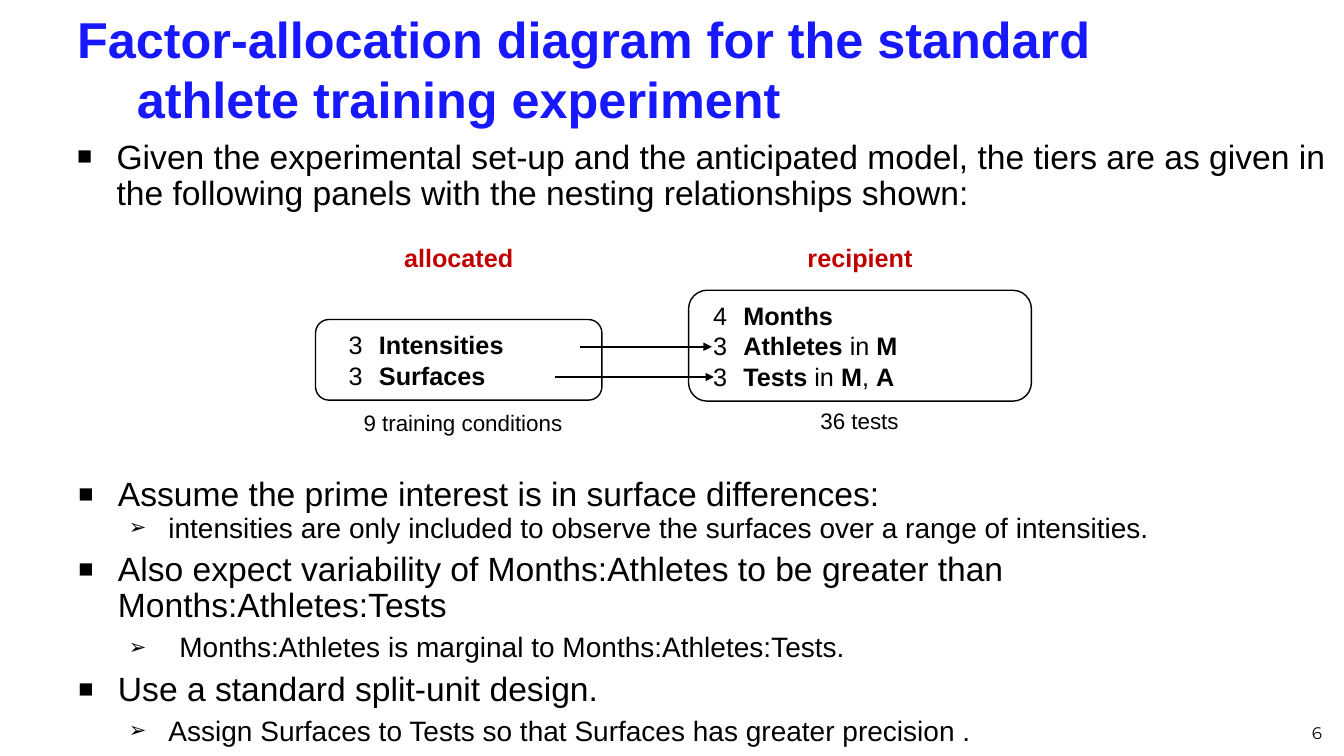
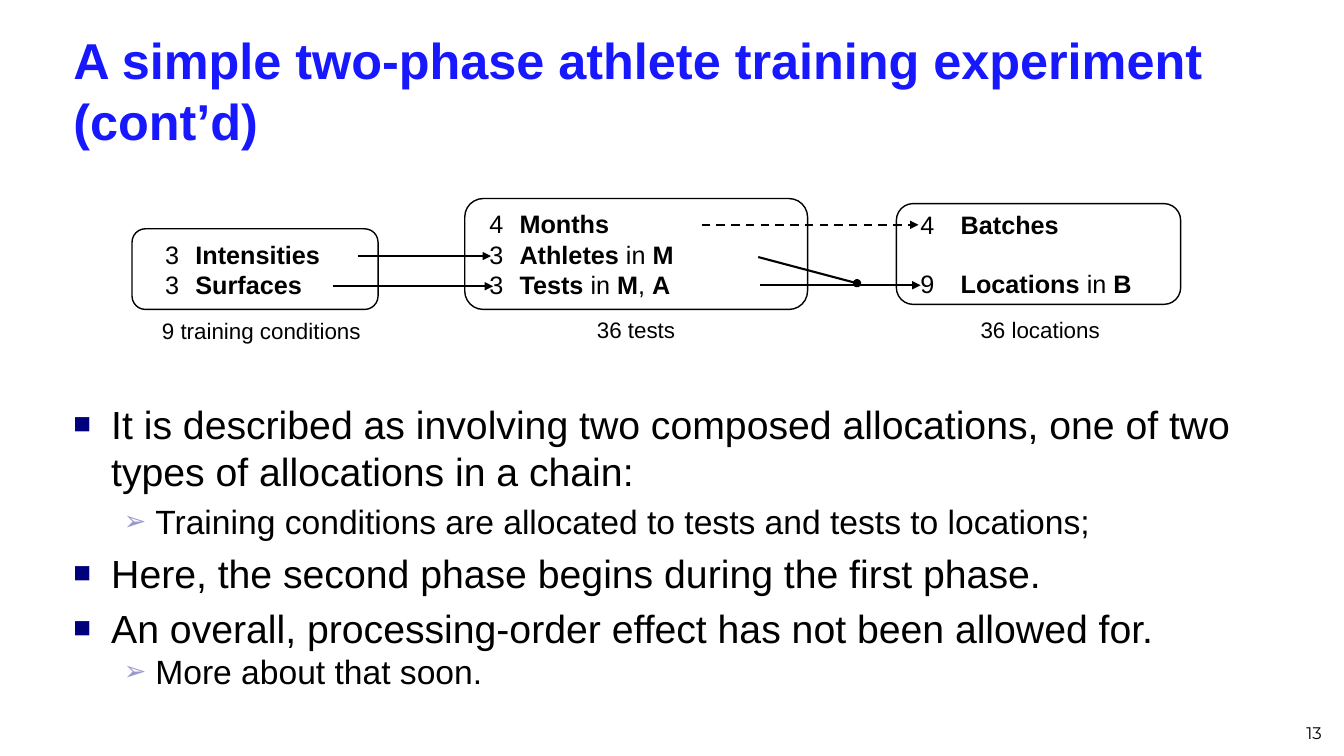
from lxml import etree
from pptx import Presentation
from pptx import util as u
from pptx.dml.color import RGBColor
from pptx.enum import dml, shapes, text
from pptx.oxml import ns

BLACK, TITLE_BLUE, HEADING_RED = "000000", "1818FF", "C00000"
NAVY, LAVENDER = "00007D", "9999CC"
LEFT, CENTER, RIGHT = text.PP_ALIGN.LEFT, text.PP_ALIGN.CENTER, text.PP_ALIGN.RIGHT
TOP, MIDDLE, BOTTOM = text.MSO_ANCHOR.TOP, text.MSO_ANCHOR.MIDDLE, text.MSO_ANCHOR.BOTTOM

presentation = Presentation()
presentation.slide_width = u.Inches(13.33)
presentation.slide_height = u.Inches(7.5)
CELL = presentation.slide_height / 90


def add_text(slide, box, lines, size, color=BLACK, bold=False, align=LEFT,
             anchor=TOP, font="Arial", panel=False):
    place = [round(value * CELL) for value in box]
    if panel:
        shape = slide.shapes.add_shape(shapes.MSO_SHAPE.ROUNDED_RECTANGLE, *place)
        shape.shadow.inherit = False
        shape.fill.background()
        shape.line.color.rgb = RGBColor.from_string(BLACK)
        shape.line.width = u.Pt(1)
    else:
        shape = slide.shapes.add_textbox(*place)
    frame = shape.text_frame
    frame.word_wrap = True
    frame.vertical_anchor = anchor
    for index, line in enumerate(lines):
        paragraph = frame.add_paragraph() if index else frame.paragraphs[0]
        paragraph.alignment = align
        for part, words in enumerate(line.split("*")):
            if words:
                run = paragraph.add_run()
                run.text = words
                run.font.name = font
                run.font.size = u.Pt(size)
                run.font.bold = bold or part % 2 == 1
                run.font.color.rgb = RGBColor.from_string(color)
    return frame.paragraphs


def indent(paragraph, left, hanging, bullet=None, color=BLACK, percent=75):
    properties = paragraph._p.get_or_add_pPr()
    properties.set("marL", str(round(left * CELL)))
    properties.set("indent", str(round(-hanging * CELL)))
    if bullet:
        bullet_color = etree.SubElement(properties, ns.qn("a:buClr"))
        etree.SubElement(bullet_color, ns.qn("a:srgbClr"), val=color)
        etree.SubElement(properties, ns.qn("a:buSzPct"), val=str(percent * 1000))
        etree.SubElement(properties, ns.qn("a:buFont"), typeface="Arial")
        etree.SubElement(properties, ns.qn("a:buChar"), char=bullet)


ALLOCATED = ["3\t*Intensities*", "3\t*Surfaces*"]
RECIPIENT = ["4\t*Months*", "3\t*Athletes* in *M*", "3\t*Tests* in *M*, *A*"]
LOCATIONS = ["4\t*Batches*", "9\t*Locations* in *B*"]

PLAIN = (4.7, 4.7, "■", BLACK, 75)
PLAIN_SUB = (10.7, 4.7, "➢", BLACK, 75)
PLAIN_DEEP = (12, 6, "➢", BLACK, 75)
NAVY_MAIN = (4.5, 4.5, "■", NAVY, 75)
NAVY_SUB = (9.75, 3.75, "➢", LAVENDER, 80)

pages = [
    {
        "number": "6",
        "title": "Factor-allocation diagram for the standard athlete training experiment",
        "title_box": (8, 1.56, 144, 13.2),
        "title_indent": 7.1,
        "panels": [
            ((37.56, 38.04, 34.08, 9.6), ALLOCATED, 5.9, 3.6,
             "9 training conditions", 55.1, 48.1, "allocated"),
            ((81.96, 34.56, 40.8, 13.2), RECIPIENT, 4.7, 3.6,
             "36 tests", 102.3, 47.9, "recipient"),
        ],
        "arrows": [
            (69, 41.28, 84.72, 41.28, "triangle", False),
            (66, 44.88, 84.96, 44.88, "triangle", False),
        ],
        "line_spacing": 0.9,
        "bodies": [
            ((8, 16.08, 151.8, 9.24), [
                ("Given the experimental set-up and the anticipated model, the tiers are as "
                 "given in the following panels with the nesting relationships shown:",
                 24, 0, PLAIN),
            ]),
            ((8.16, 56.28, 151.8, 33.7), [
                ("Assume the prime interest is in surface differences:", 24, 0, PLAIN),
                ("intensities are only included to observe the surfaces over a range of "
                 "intensities.", 20, 0, PLAIN_SUB),
                ("Also expect variability of Months:Athletes to be greater than "
                 "Months:Athletes:Tests", 24, 6, PLAIN),
                ("Months:Athletes is marginal to Months:Athletes:Tests.", 20, 6, PLAIN_DEEP),
                ("Use a standard split-unit design.", 24, 6, PLAIN),
                ("Assign Surfaces to Tests so that Surfaces has greater precision .",
                 20, 6, PLAIN_SUB),
            ]),
        ],
    },
    {
        "number": "13",
        "title": "A simple two-phase athlete training experiment (cont’d)",
        "title_box": (7.56, 2.76, 151.2, 15.84),
        "title_indent": 0,
        "panels": [
            ((15.72, 27.24, 29.28, 9.6), ALLOCATED, 5.9, 3.6,
             "9 training conditions", 31.1, 37.2, None),
            ((55.32, 23.64, 40.8, 13.2), RECIPIENT, 4.7, 3.6,
             "36 tests", 75.7, 37.1, None),
            ((106.68, 24.24, 33.84, 12), LOCATIONS, 5.9, 4.8,
             "36 locations", 123.8, 37.1, None),
        ],
        "arrows": [
            (42.6, 30.48, 58.44, 30.48, "triangle", False),
            (39.6, 34.08, 58.68, 34.08, "triangle", False),
            (83.52, 26.76, 109.32, 26.76, "triangle", True),
            (90.48, 33.96, 109.56, 33.96, "triangle", False),
            (90.24, 30.6, 102, 33.72, "oval", False),
        ],
        "line_spacing": 1.0,
        "bodies": [
            ((7.56, 47.04, 151.2, 42.12), [
                ("It is described as involving two composed allocations, one of two types of "
                 "allocations in a chain:", 28, 0, NAVY_MAIN),
                ("Training conditions are allocated to tests and tests to locations;",
                 24, 4.8, NAVY_SUB),
                ("Here, the second phase begins during the first phase.", 28, 5.6, NAVY_MAIN),
                ("An overall, processing-order effect has not been allowed for.",
                 28, 5.6, NAVY_MAIN),
                ("More about that soon.", 24, 0, NAVY_SUB),
            ]),
        ],
    },
]

for page in pages:
    slide = presentation.slides.add_slide(presentation.slide_layouts[6])
    title = add_text(slide, page["title_box"], [page["title"]], 36, TITLE_BLUE, True,
                     anchor=MIDDLE)
    indent(title[0], page["title_indent"], page["title_indent"])
    add_text(slide, (121.2, 83.04, 37.32, 6), [page["number"]], 12, align=RIGHT,
             anchor=BOTTOM, font="Montserrat")

    for box, items in page["bodies"]:
        paragraphs = add_text(slide, box, [item[0] for item in items], 24)
        for paragraph, (words, size, before, style) in zip(paragraphs, items):
            paragraph.level = 0 if style in (PLAIN, NAVY_MAIN) else 1
            paragraph.line_spacing = page["line_spacing"]
            paragraph.space_before = u.Pt(before)
            indent(paragraph, *style)
            for run in paragraph.runs:
                run.font.size = u.Pt(size)

    for box, lines, left, hanging, caption, middle, caption_top, heading in page["panels"]:
        paragraphs = add_text(slide, box, lines, 18, anchor=MIDDLE, panel=True)
        for paragraph in paragraphs:
            indent(paragraph, left, hanging)
        if lines is LOCATIONS:
            paragraphs[1].space_before = u.Pt(21)
        add_text(slide, (middle - 16, caption_top, 32, 4.44), [caption], 16, align=CENTER)
        if heading:
            add_text(slide, (box[0] + box[2] / 2 - 9, 28.3, 18, 4.8), [heading], 18,
                     HEADING_RED, True, CENTER)

    for *ends, head, dashed in page["arrows"]:
        arrow = slide.shapes.add_connector(shapes.MSO_CONNECTOR.STRAIGHT,
                                           *[round(value * CELL) for value in ends])
        arrow.line.color.rgb = RGBColor.from_string(BLACK)
        arrow.line.width = u.Pt(1.5)
        if dashed:
            arrow.line.dash_style = dml.MSO_LINE.DASH
        etree.SubElement(arrow.line._get_or_add_ln(), ns.qn("a:tailEnd"), type=head)
        etree.SubElement(arrow._element.spPr, ns.qn("a:effectLst"))

presentation.save("out.pptx")
